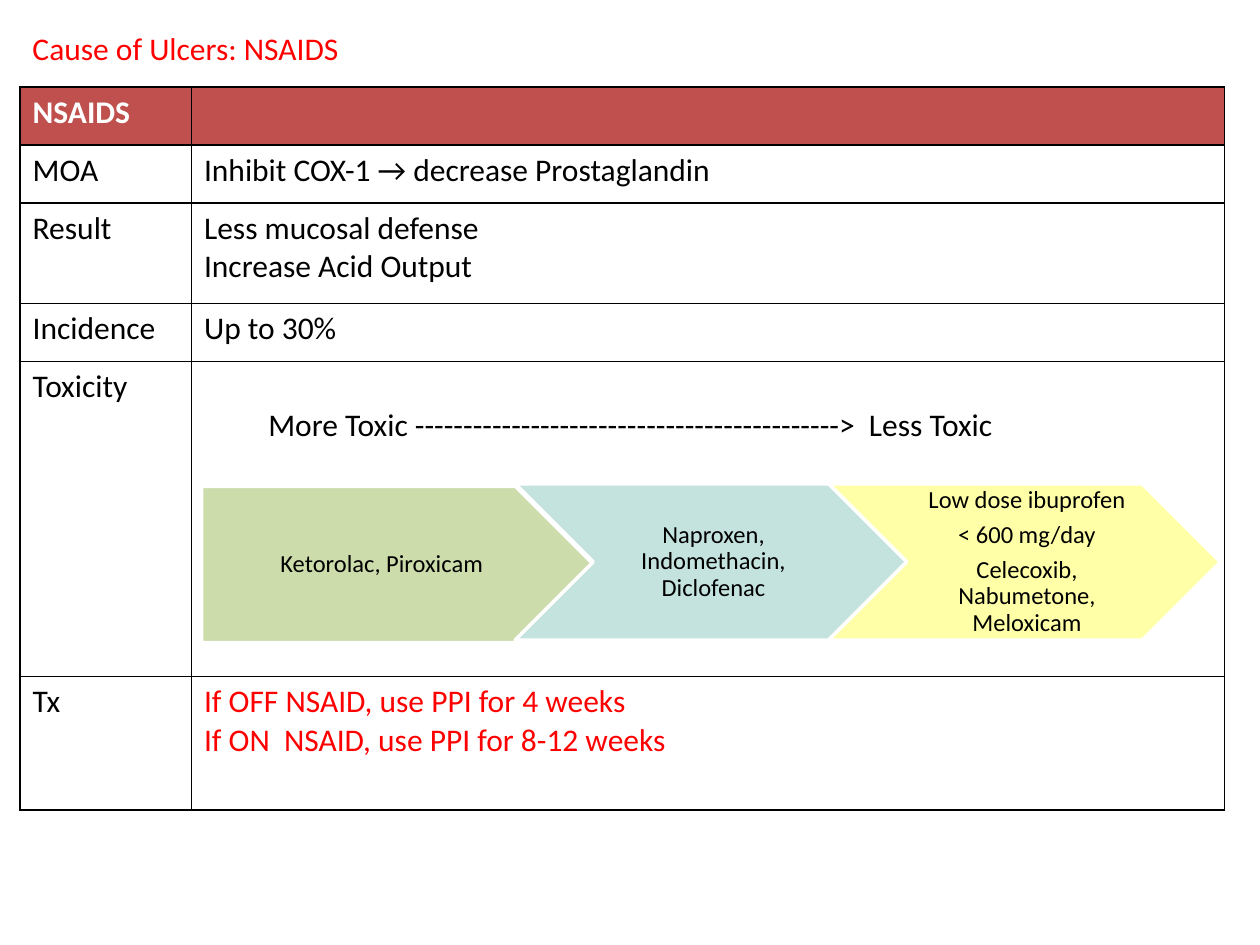
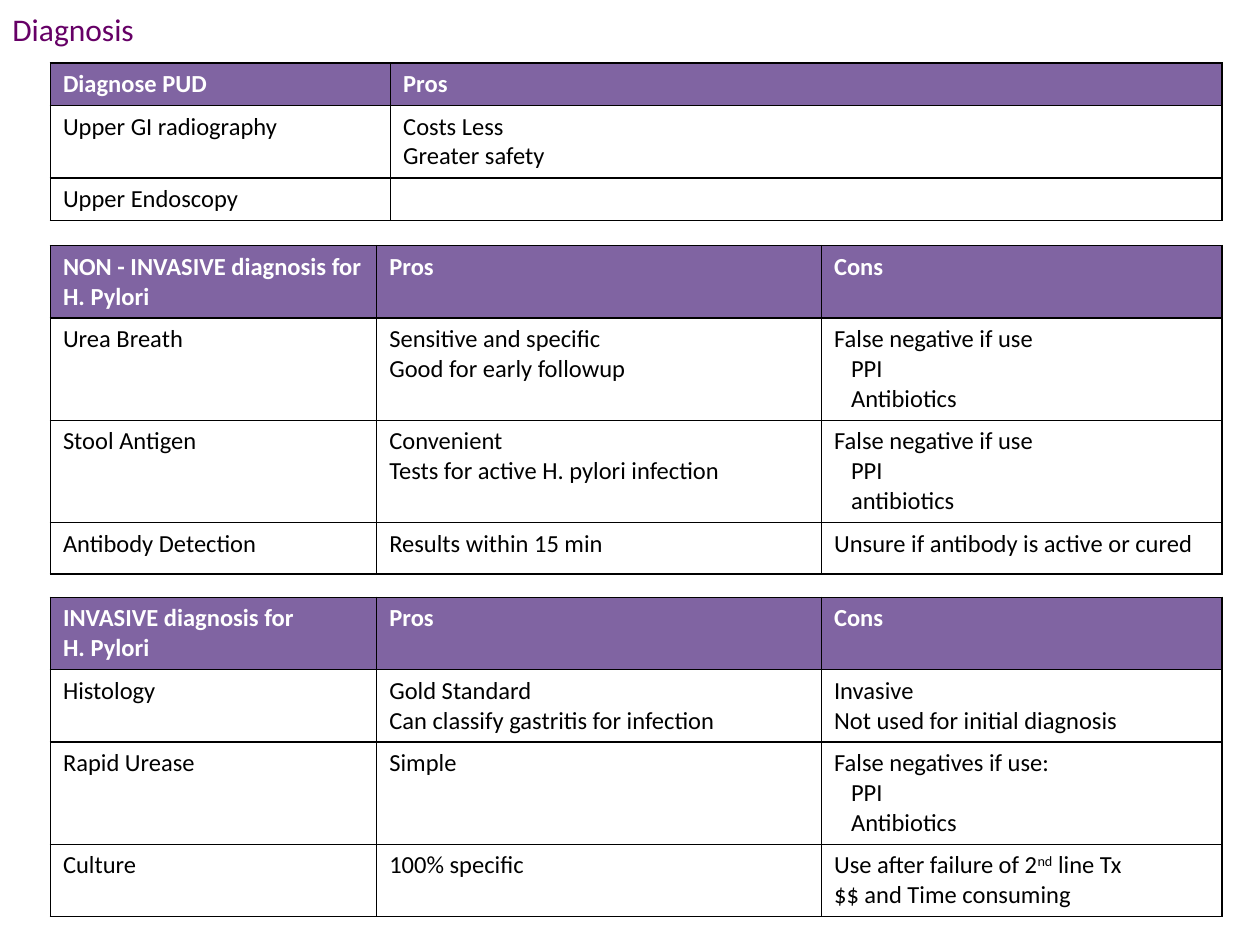
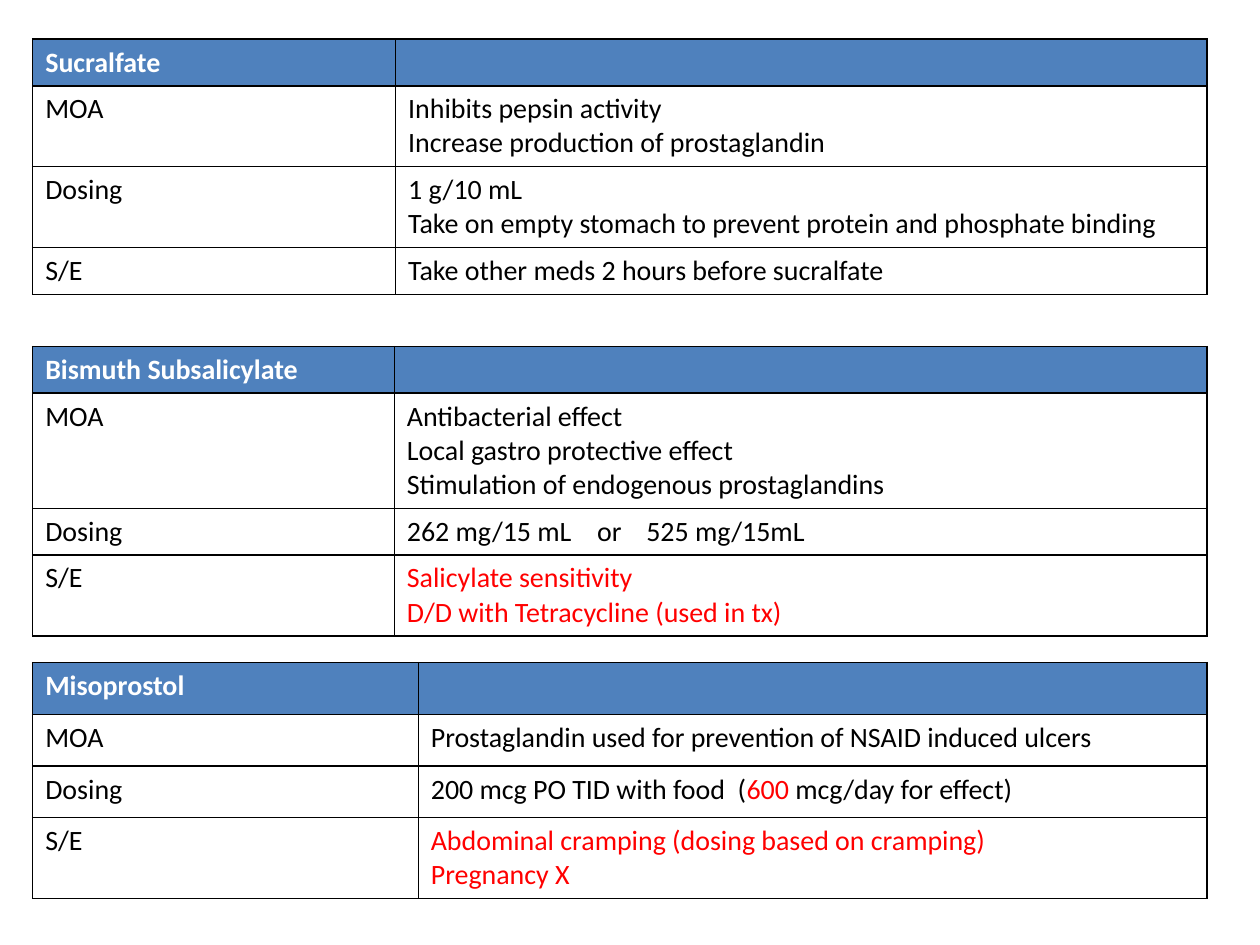
from dataclasses import dataclass

from lxml import etree
from pptx import Presentation
from pptx.dml.color import RGBColor
from pptx.enum.shapes import MSO_SHAPE
from pptx.enum.text import MSO_ANCHOR, PP_ALIGN
from pptx.oxml.ns import qn
from pptx.util import Emu, Inches, Pt

PENTAGON, CHEVRON = MSO_SHAPE.PENTAGON, MSO_SHAPE.CHEVRON
MIDDLE, CENTER = MSO_ANCHOR.MIDDLE, PP_ALIGN.CENTER

# The slide is a grid of 100 columns by 75 rows.
SLIDE_W, SLIDE_H = Inches(10), Inches(7.5)
COL, ROW = SLIDE_W // 100, SLIDE_H // 75


@dataclass(frozen=True)
class Theme:
    font: str = "Calibri"
    text: str = "000000"
    white: str = "FFFFFF"
    red: str = "FF0000"
    purple: str = "660066"
    causes: str = "C0504D"
    diagnosis: str = "8064A2"
    drugs: str = "4F81BD"
    border: str = "000000"
    border_pt: float = 1
    arrow_line_pt: float = 2
    large: int = 18
    medium: int = 16
    small: int = 14
    line_height: float = 1.22


T = Theme()


@dataclass(frozen=True)
class Line:
    """A paragraph of (text, colour, raised) runs; indent and tabs in columns."""
    runs: tuple
    indent: float = 0
    tabs: tuple = ()


def plain(text, color=T.text, **layout):
    return Line(((text, color, False),), **layout)


def lines(*texts, color=T.text):
    return [plain(text, color) for text in texts]


def false_negatives(lead, *drugs):
    return [plain(lead), *(plain(drug, indent=1.35) for drug in drugs)]


def add_run(p, text, size, color, bold=False, raised=False):
    r = p.add_run()
    r.text = text
    r.font.name, r.font.size, r.font.bold = T.font, Pt(size), bold
    r.font.color.rgb = RGBColor.from_string(color)
    if raised:
        r.font._element.set("baseline", "30000")


def add_lines(tf, content, size, bold=False):
    for i, line in enumerate(content):
        p = tf.paragraphs[0] if i == 0 else tf.add_paragraph()
        pPr = p._p.get_or_add_pPr()
        if line.indent:
            pPr.set("marL", str(int(line.indent * COL)))
            pPr.set("indent", "0")
        if line.tabs:
            tab_list = etree.SubElement(pPr, qn("a:tabLst"))
            for tab in line.tabs:
                etree.SubElement(tab_list, qn("a:tab"), pos=str(int(tab * COL)), algn="l")
        for text, color, raised in line.runs:
            add_run(p, text, size, color, bold, raised)
    if not content:
        etree.SubElement(tf.paragraphs[0]._p, qn("a:endParaRPr"), sz=str(size * 100))


def add_title(s, x, y, w, text, color):
    tb = s.shapes.add_textbox(int(x * COL), int(y * ROW), int(w * COL), 4 * ROW)
    tb.text_frame.word_wrap = False
    add_lines(tb.text_frame, [plain(text, color)], T.large)


def style_cell(cell, fill):
    tcPr = cell._tc.get_or_add_tcPr()
    for side in ("lnL", "lnR", "lnT", "lnB"):
        ln = etree.SubElement(tcPr, qn(f"a:{side}"), w=str(Pt(T.border_pt)))
        solid = etree.SubElement(ln, qn("a:solidFill"))
        etree.SubElement(solid, qn("a:srgbClr"), val=T.border)
    if fill:
        cell.fill.solid()
        cell.fill.fore_color.rgb = RGBColor.from_string(fill)
    else:
        cell.fill.background()


def add_grid(s, x, y, widths, header, body, color, size, min_rows=None):
    """Table whose rows fit their lines, or the least height given in grid rows."""
    rows = [[lines(*cell, color=T.white) for cell in header], *body]
    least = min_rows or [0] * len(rows)
    heights = []
    for row, low in zip(rows, least):
        count = max(1, *(len(cell) for cell in row))
        heights.append(max(int(low * ROW), Inches(0.1) + int(Pt(size) * T.line_height * count)))
    frame = s.shapes.add_table(len(rows), len(widths), int(x * COL), int(y * ROW),
                               int(sum(widths) * COL), sum(heights))
    tbl = frame.table
    tbl.horz_banding = False
    for i, width in enumerate(widths):
        tbl.columns[i].width = int(width * COL)
    for i, (row, height) in enumerate(zip(rows, heights)):
        tbl.rows[i].height = Emu(height)
        for j, content in enumerate(row):
            cell = tbl.cell(i, j)
            style_cell(cell, color if i == 0 else None)
            add_lines(cell.text_frame, content, size, bold=i == 0)
    return tbl


def add_toxicity_arrows(s, x, y, w, h, steps):
    """Chevrons that each start four fifths of a width after the one before."""
    for i, (kind, drop, fill, alpha, left_inset, texts) in enumerate(steps):
        sp = s.shapes.add_shape(kind, int((x + 0.8 * w * i) * COL), int((y + drop) * ROW),
                                int(w * COL), int(h * ROW))
        sp.shadow.inherit = False
        sp.fill.solid()
        sp.fill.fore_color.rgb = RGBColor.from_string(fill)
        rgb = sp.fill._xPr.find(f"{qn('a:solidFill')}/{qn('a:srgbClr')}")
        etree.SubElement(rgb, qn("a:alpha"), val=str(alpha * 1000))
        sp.line.color.rgb = RGBColor.from_string(T.white)
        sp.line.width = Pt(T.arrow_line_pt)
        tf = sp.text_frame
        tf.word_wrap, tf.vertical_anchor = True, MIDDLE
        tf.margin_left, tf.margin_right = Inches(left_inset), Inches(0.02)
        tf.margin_top = tf.margin_bottom = Inches(0.04)
        add_lines(tf, lines(*texts), T.small)
        for p in tf.paragraphs:
            p.alignment, p.line_spacing, p.space_after = CENTER, 0.9, Pt(4.9)


def nsaids_slide(s):
    add_title(s, 1.6, 1.8, 26.6, "Cause of Ulcers: NSAIDS", T.red)
    body = [
        [lines("MOA"), lines("Inhibit COX-1 → decrease Prostaglandin")],
        [lines("Result"), lines("Less mucosal defense", "Increase Acid Output")],
        [lines("Incidence"), lines("Up to 30%")],
        [lines("Toxicity"), lines("More Toxic " + "-" * 44 + ">  Less Toxic")],
        [lines("Tx"), lines("If OFF NSAID, use PPI for 4 weeks",
                            "If ON  NSAID, use PPI for 8-12 weeks", color=T.red)],
    ]
    tbl = add_grid(s, 1.6, 6.9, [13.6, 82], [["NSAIDS"], []], body, T.causes, T.large,
                   [4.6, 4.6, 8, 4.6, 25, 10.6])
    scale = tbl.cell(4, 1)
    scale.margin_left, scale.margin_top = Inches(0.61), Inches(0.36)
    add_toxicity_arrows(s, 16, 38.4, 31.1, 12.4, [
        (PENTAGON, 0.2, "9BBB59", 50, 0.08, ["Ketorolac, Piroxicam"]),
        (CHEVRON, 0, "5EAFA6", 36, 0.06, ["Naproxen, Indomethacin, Diclofenac"]),
        (CHEVRON, 0, "FFFF00", 34, 0.06,
         ["Low dose ibuprofen", "< 600 mg/day", "Celecoxib, Nabumetone, Meloxicam"]),
    ])


def diagnosis_slide(s):
    add_title(s, 0, 0.3, 11.8, "Diagnosis", T.purple)
    add_grid(s, 4, 5, [27, 66], [["Diagnose PUD"], ["Pros"]], [
        [lines("Upper GI radiography"), lines("Costs Less", "Greater safety")],
        [lines("Upper Endoscopy"), []],
    ], T.diagnosis, T.small)
    non_invasive = [
        [lines("Urea Breath"), lines("Sensitive and specific", "Good for early followup"),
         false_negatives("False negative if use", "PPI", "Antibiotics")],
        [lines("Stool Antigen"), lines("Convenient", "Tests for active H. pylori infection"),
         false_negatives("False negative if use", "PPI", "antibiotics")],
        [lines("Antibody Detection"), lines("Results within 15 min"),
         lines("Unsure if antibody is active or cured")],
    ]
    second_line = Line((("Use after failure of 2", T.text, False), ("nd", T.text, True),
                        (" line Tx", T.text, False)))
    invasive = [
        [lines("Histology"), lines("Gold Standard", "Can classify gastritis for infection"),
         lines("Invasive", "Not used for initial diagnosis")],
        [lines("Rapid Urease"), lines("Simple"),
         false_negatives("False negatives if use:", "PPI", "Antibiotics")],
        [lines("Culture"), lines("100% specific"),
         [second_line, plain("$$ and Time consuming")]],
    ]
    for y, name, body in ((19.5, "NON - INVASIVE", non_invasive), (47.4, "INVASIVE", invasive)):
        header = [[f"{name} diagnosis for", "H. Pylori"], ["Pros"], ["Cons"]]
        add_grid(s, 4, y, [25.9, 35.3, 31.8], header, body, T.diagnosis, T.small, [4.1] * 4)


def drugs_slide(s):
    misoprostol_dose = Line((("200 mcg PO TID with food  (", T.text, False),
                             ("600", T.red, False), (" mcg/day for effect)", T.text, False)))
    drugs = [
        ("Sucralfate", 3.1, 28.8, 0,
         lines("Inhibits pepsin activity", "Increase production of prostaglandin"),
         lines("1 g/10 mL", "Take on empty stomach to prevent protein and phosphate binding"),
         lines("Take other meds 2 hours before sucralfate")),
        ("Bismuth Subsalicylate", 27.5, 28.7, 0,
         lines("Antibacterial effect", "Local gastro protective effect",
               "Stimulation of endogenous prostaglandins"),
         [plain("262 mg/15 mL\tor\t525 mg/15mL", tabs=(15.1, 19))],
         lines("Salicylate sensitivity", "D/D with Tetracycline (used in tx)", color=T.red)),
        ("Misoprostol", 52.6, 30.6, 4.1,
         lines("Prostaglandin used for prevention of NSAID induced ulcers"),
         [misoprostol_dose],
         lines("Abdominal cramping (dosing based on cramping)", "Pregnancy X", color=T.red)),
    ]
    for name, y, label_w, least, *facts in drugs:
        body = [[lines(label), fact] for label, fact in zip(("MOA", "Dosing", "S/E"), facts)]
        add_grid(s, 2.6, y, [label_w, 93.2 - label_w], [[name], []], body,
                 T.drugs, T.medium, [least] * 4)


def main():
    prs = Presentation()
    prs.slide_width, prs.slide_height = SLIDE_W, SLIDE_H
    for build in (nsaids_slide, diagnosis_slide, drugs_slide):
        build(prs.slides.add_slide(prs.slide_layouts[6]))
    prs.save("out.pptx")


if __name__ == "__main__":
    main()
